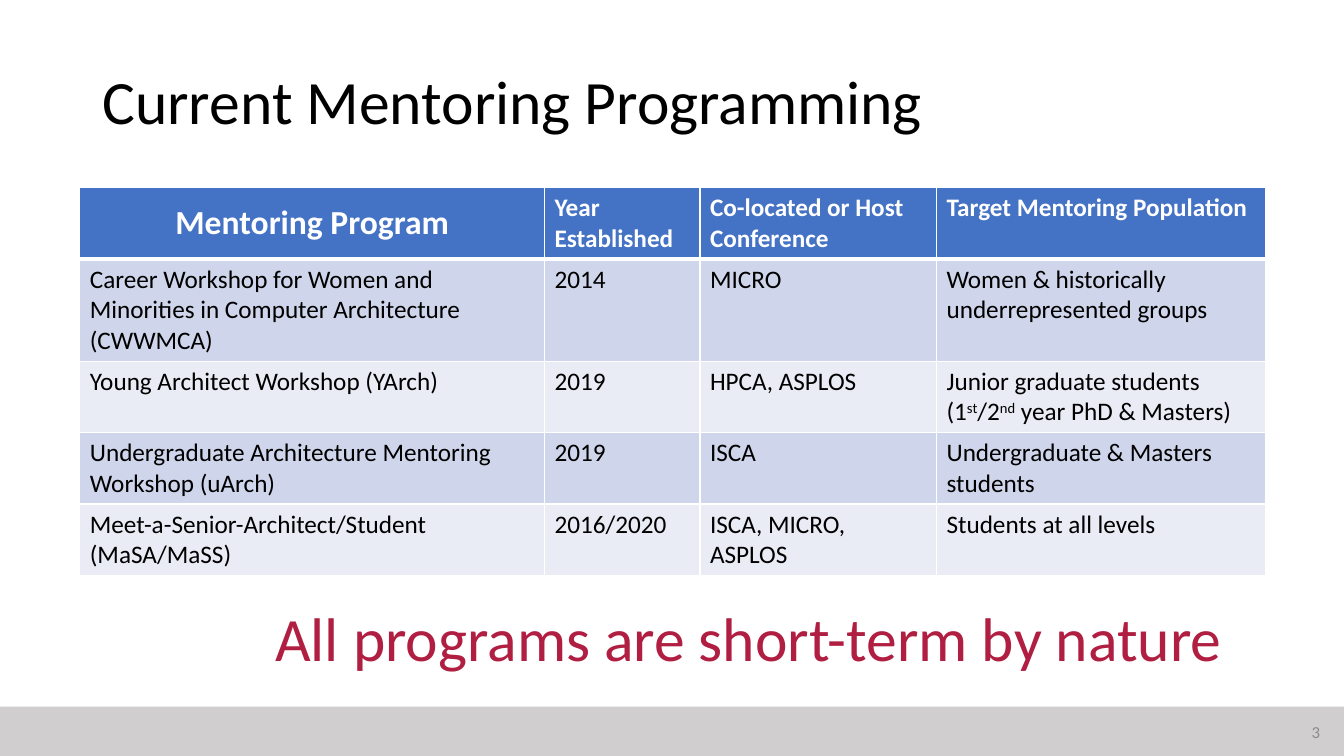
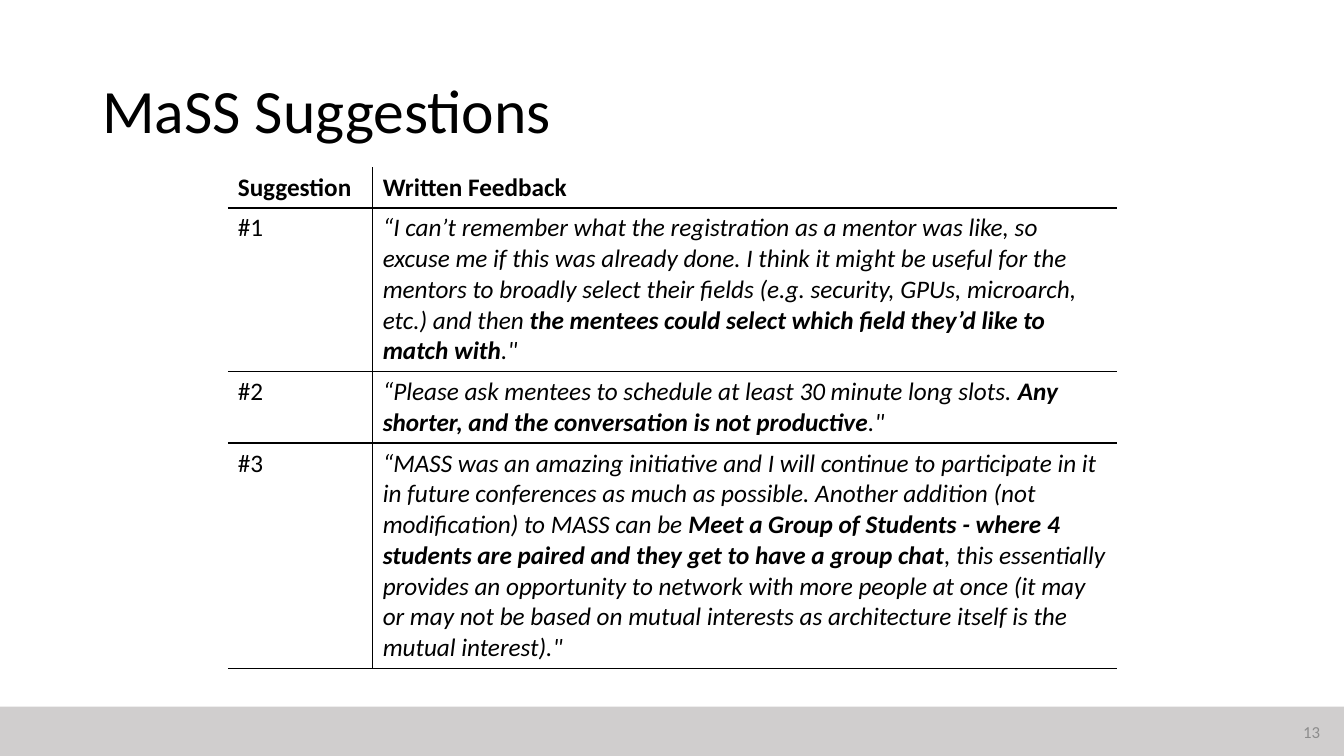
from lxml.etree import SubElement
from pptx import Presentation
from pptx.dml.color import RGBColor
from pptx.enum.shapes import MSO_SHAPE
from pptx.enum.text import MSO_ANCHOR, PP_ALIGN
from pptx.oxml.ns import qn
from pptx.util import Pt

FONT = "Calibri"
BLACK = RGBColor(0x00, 0x00, 0x00)
WHITE = RGBColor(0xFF, 0xFF, 0xFF)
BAND_GRAY = RGBColor(0xD0, 0xCE, 0xCE)
NUMBER_GRAY = RGBColor(0x8C, 0x8C, 0x8C)
CRIMSON = RGBColor(0xB0, 0x1E, 0x41)
HEADER_BLUE = RGBColor(0x44, 0x72, 0xC4)
ROW_TINTS = (RGBColor(0xCF, 0xD5, 0xEA), RGBColor(0xE9, 0xEB, 0xF5))

SLIDE_WIDTH, SLIDE_HEIGHT = Pt(960), Pt(540)
BAND_TOP = Pt(504.8)
LARGE_SIZE, HEADER_SIZE, BODY_SIZE, NUMBER_SIZE = Pt(44), Pt(24), Pt(18), Pt(12)

# Text between carets is superscript in the programs, bold in the feedback.
PROGRAMS = [
    ("Mentoring Program", "Year Established", "Co-located or Host Conference",
     "Target Mentoring Population"),
    ("Career Workshop for Women and Minorities in Computer Architecture (CWWMCA)",
     "2014", "MICRO", "Women & historically underrepresented groups"),
    ("Young Architect Workshop (YArch)", "2019", "HPCA, ASPLOS",
     "Junior graduate students (1^st^/2^nd^ year PhD & Masters)"),
    ("Undergraduate Architecture Mentoring Workshop (uArch)", "2019", "ISCA",
     "Undergraduate & Masters students"),
    ("Meet-a-Senior-Architect/Student\n(MaSA/MaSS)", "2016/2020",
     "ISCA, MICRO, ASPLOS", "Students at all levels"),
]
FEEDBACK = [
    ("Suggestion", "Written Feedback"),
    ("#1", "“I can’t remember what the registration as a mentor was like, so excuse me "
           "if this was already done. I think it might be useful for the mentors to "
           "broadly select their fields (e.g. security, GPUs, microarch, etc.) and then "
           "^the mentees could select which field they’d like to match with^.\""),
    ("#2", "“Please ask mentees to schedule at least 30 minute long slots. "
           "^Any shorter, and the conversation is not productive^.\""),
    ("#3", "“MASS was an amazing initiative and I will continue to participate in it in "
           "future conferences as much as possible. Another addition (not modification) "
           "to MASS can be ^Meet a Group of Students - where 4 students are paired and "
           "they get to have a group chat^, this essentially provides an opportunity to "
           "network with more people at once (it may or may not be based on mutual "
           "interests as architecture itself is the mutual interest).\""),
]


def style_paragraph(paragraph, size, color=BLACK, align=PP_ALIGN.LEFT, bold=False, italic=False):
    paragraph.alignment = align
    font = paragraph.font
    font.name, font.size, font.bold, font.italic = FONT, size, bold, italic
    font.color.rgb = color


def add_text(slide, text, box, size, color=BLACK, align=PP_ALIGN.LEFT, anchor=MSO_ANCHOR.MIDDLE):
    frame = slide.shapes.add_textbox(*box).text_frame
    frame.word_wrap = True
    frame.vertical_anchor = anchor
    paragraph = frame.paragraphs[0]
    paragraph.text = text
    style_paragraph(paragraph, size, color, align)
    return paragraph


def add_base_slide(presentation, title, title_top, number):
    """Add a slide with its title, footer band and slide number."""
    slide = presentation.slides.add_slide(presentation.slide_layouts[6])
    band = slide.shapes.add_shape(
        MSO_SHAPE.RECTANGLE, 0, BAND_TOP, SLIDE_WIDTH, SLIDE_HEIGHT - BAND_TOP)
    band.shadow.inherit = False
    band.fill.solid()
    band.fill.fore_color.rgb = BAND_GRAY
    band.line.fill.background()
    heading = add_text(slide, title, (Pt(66), title_top, Pt(828), Pt(104.4)), LARGE_SIZE)
    heading.line_spacing = 0.9
    add_text(slide, str(number), (Pt(734), Pt(508), Pt(216), Pt(28.8)),
             NUMBER_SIZE, NUMBER_GRAY, PP_ALIGN.RIGHT)
    return slide


def add_grid(slide, left, top, widths, heights):
    table = slide.shapes.add_table(
        len(heights), len(widths), left, top, sum(widths), sum(heights)).table
    for column, width in zip(table.columns, widths):
        column.width = width
    for row, height in zip(table.rows, heights):
        row.height = height
    table.horz_banding = False
    return table


def fill_cell(cell, text, emphasize, **style):
    """Write one paragraph per line, passing caret-marked runs to emphasize."""
    frame = cell.text_frame
    for index, line in enumerate(text.split("\n")):
        paragraph = frame.add_paragraph() if index else frame.paragraphs[0]
        style_paragraph(paragraph, **style)
        for position, part in enumerate(line.split("^")):
            run = paragraph.add_run()
            run.text = part
            if position % 2:
                emphasize(run)


def make_superscript(run):
    run._r.get_or_add_rPr().set("baseline", "30000")


def make_bold(run):
    run.font.bold = True


def set_borders(cell, color, **widths):
    """Draw the sides L, R, T and B; a side without a width gets no line."""
    properties = cell._tc.get_or_add_tcPr()
    for side in "LRTB":
        width = widths.get(side, 0)
        line = SubElement(properties, qn(f"a:ln{side}"), w=str(Pt(width)))
        if width:
            solid = SubElement(line, qn("a:solidFill"))
            SubElement(solid, qn("a:srgbClr"), val=str(color))
        else:
            SubElement(line, qn("a:noFill"))


def add_program_table(slide, left, top):
    table = add_grid(slide, left, top, [Pt(332), Pt(111), Pt(169), Pt(235)],
                     [Pt(51), Pt(73), Pt(51), Pt(51), Pt(51)])
    for row, texts in enumerate(PROGRAMS):
        header = row == 0
        for column, text in enumerate(texts):
            cell = table.cell(row, column)
            main_header = header and column == 0
            fill_cell(cell, text, make_superscript,
                      size=HEADER_SIZE if main_header else BODY_SIZE,
                      color=WHITE if header else BLACK,
                      align=PP_ALIGN.CENTER if main_header else PP_ALIGN.LEFT,
                      bold=header)
            if main_header:
                cell.vertical_anchor = MSO_ANCHOR.MIDDLE
            set_borders(cell, WHITE, L=1, R=1, T=3 if row == 1 else 1, B=3 if header else 1)
            cell.fill.solid()
            cell.fill.fore_color.rgb = HEADER_BLUE if header else ROW_TINTS[(row - 1) % 2]


def add_feedback_table(slide, left, top):
    table = add_grid(slide, left, top, [Pt(103.5), Pt(531.5)],
                     [Pt(29), Pt(117), Pt(51), Pt(161)])
    table.first_row = False
    for row, texts in enumerate(FEEDBACK):
        for column, text in enumerate(texts):
            cell = table.cell(row, column)
            fill_cell(cell, text, make_bold, size=BODY_SIZE,
                      bold=row == 0, italic=row > 0 and column == 1)
            set_borders(cell, BLACK, L=column, R=1 - column, T=min(row, 1), B=1)
            cell.fill.background()


def build_program_slide(presentation):
    slide = add_base_slide(presentation, "Current Mentoring Programming", Pt(22.3), 3)
    add_program_table(slide, Pt(57), Pt(134))
    add_text(slide, "All programs are short-term by nature",
             (Pt(150.5), Pt(425), Pt(769), Pt(60.5)),
             LARGE_SIZE, CRIMSON, PP_ALIGN.CENTER, MSO_ANCHOR.TOP)


def build_feedback_slide(presentation):
    slide = add_base_slide(presentation, "MaSS Suggestions", Pt(28.8), 13)
    add_feedback_table(slide, Pt(162.7), Pt(119.5))


def main():
    presentation = Presentation()
    presentation.slide_width, presentation.slide_height = SLIDE_WIDTH, SLIDE_HEIGHT
    build_program_slide(presentation)
    build_feedback_slide(presentation)
    presentation.save("out.pptx")


if __name__ == "__main__":
    main()
